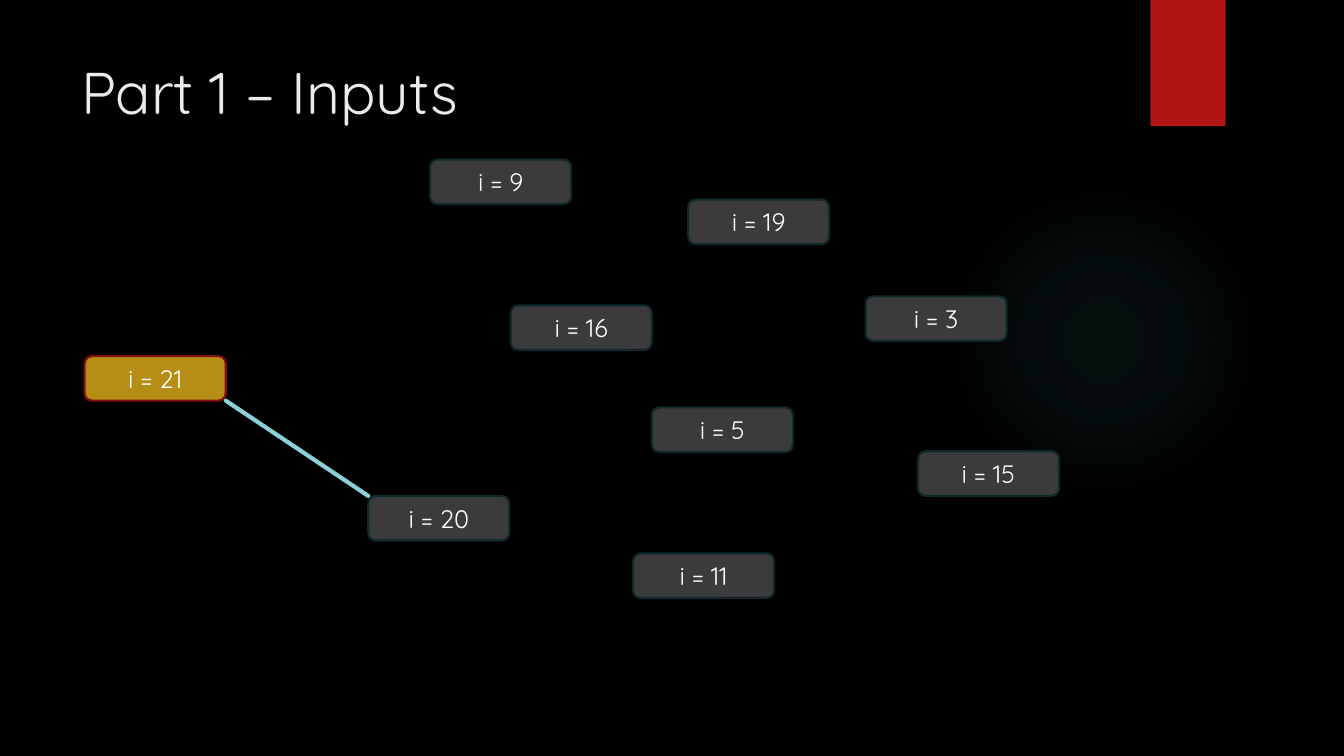
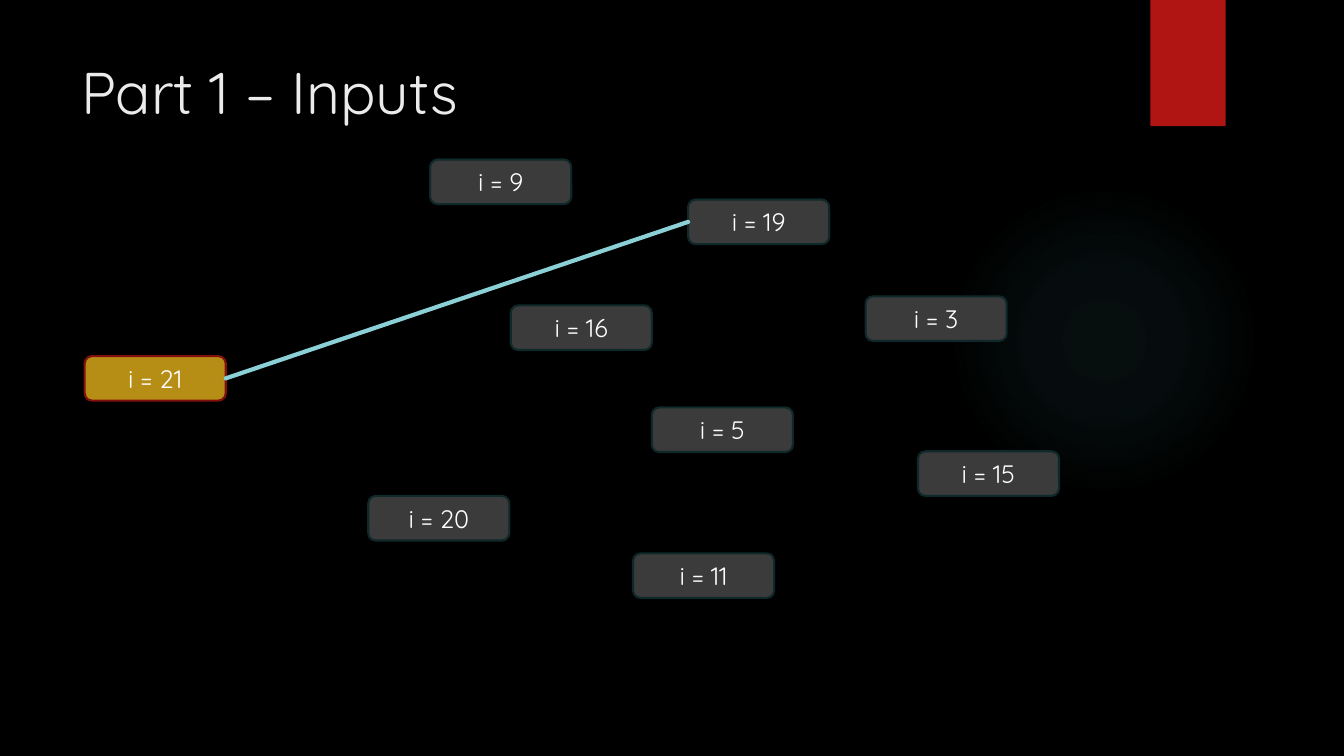
from dataclasses import dataclass

from lxml.etree import SubElement
from pptx import Presentation
from pptx.dml.color import RGBColor
from pptx.enum.shapes import MSO_CONNECTOR as Connector, MSO_SHAPE as Preset
from pptx.enum.text import MSO_ANCHOR as Anchor, PP_ALIGN as Align
from pptx.oxml.ns import qn
from pptx.util import Inches, Pt


@dataclass(frozen=True)
class Theme:
    font: str = "Quicksand"
    background: str = "000000"
    glow: str = "50B9C1"
    glow_stops: tuple = ((0, 7), (36, 6), (69, 0))
    ribbon: str = "B01513"
    title: str = "EBEBEB"
    text: str = "FFFFFF"
    node: str = "3B3B3B"
    node_line: str = "0F282A"
    start: str = "B68E15"
    start_line: str = "82100E"
    link: str = "8AD0D6"
    title_size: int = 42
    node_size: int = 18
    outline: float = 1.5
    link_width: int = 3


@dataclass(frozen=True)
class Box:
    left: int
    top: int
    width: int
    height: int

    def inner(self, left, top, width, height):
        """Return a box inside this one, given in percent of its size."""
        return Box(
            self.left + round(self.width * left / 100),
            self.top + round(self.height * top / 100),
            round(self.width * width / 100),
            round(self.height * height / 100),
        )

    @property
    def bounds(self):
        return self.left, self.top, self.width, self.height


THEME = Theme()
TITLE = "Part 1 – Inputs"
START = 21
TOP, LEFT, BOTTOM, RIGHT = range(4)
NODE_SIZE = (10.5, 5.9)
NODES = {
    21: (6.3, 47.1),
    20: (27.4, 65.6),
    9: (32, 21.1),
    16: (38, 40.4),
    19: (51.2, 26.4),
    5: (48.5, 53.9),
    3: (64.4, 39.2),
    11: (47.1, 73.2),
    15: (68.3, 59.7),
}


def rgb(color):
    return RGBColor.from_string(color)


def add_element(parent, tag, **attributes):
    values = {name: str(value) for name, value in attributes.items()}
    return SubElement(parent, qn(tag), values)


def add_color(parent, color, opacity):
    element = add_element(parent, "a:srgbClr", val=color)
    add_element(element, "a:alpha", val=opacity * 1000)


def add_preset(slide, preset, box, fill=None, line=None):
    shape = slide.shapes.add_shape(preset, *box.bounds)
    shape.shadow.inherit = False
    if fill:
        shape.fill.solid()
        shape.fill.fore_color.rgb = rgb(fill)
    else:
        shape.fill.background()
    if line:
        shape.line.color.rgb = rgb(line)
        shape.line.width = Pt(THEME.outline)
    else:
        shape.line.fill.background()
    return shape


def write(shape, text, *, size, color, align=Align.LEFT, anchor=Anchor.TOP):
    frame = shape.text_frame
    frame.word_wrap = True
    frame.vertical_anchor = anchor
    paragraph = frame.paragraphs[0]
    paragraph.alignment = align
    run = paragraph.add_run()
    run.text = text
    run.font.name = THEME.font
    run.font.size = Pt(size)
    run.font.color.rgb = rgb(color)


def add_glow(slide, box):
    """Add a circle whose colour fades out from its centre."""
    properties = add_preset(slide, Preset.OVAL, box).element.spPr
    gradient = add_element(properties, "a:gradFill", rotWithShape=1)
    stops = add_element(gradient, "a:gsLst")
    for position, opacity in THEME.glow_stops:
        stop = add_element(stops, "a:gs", pos=position * 1000)
        add_color(stop, THEME.glow, opacity)
    circle = add_element(gradient, "a:path", path="circle")
    add_element(circle, "a:fillToRect", l=50000, t=50000, r=50000, b=50000)
    properties.replace(properties.find(qn("a:noFill")), gradient)


def add_ribbon(slide, box):
    shape = add_preset(slide, Preset.RECTANGLE, box, THEME.ribbon)
    effects = shape.element.spPr.find(qn("a:effectLst"))
    shadow = add_element(effects, "a:outerShdw", blurRad=int(Pt(3)),
                         dist=int(Pt(2)), dir=90 * 60000, rotWithShape=0)
    add_color(shadow, "000000", 45)


def add_title(slide, box, text):
    write(slide.shapes.add_textbox(*box.bounds), text,
          size=THEME.title_size, color=THEME.title)


def add_nodes(slide, box):
    """Add all input nodes and return them by their number."""
    nodes = {}
    for number, position in NODES.items():
        colors = ((THEME.start, THEME.start_line) if number == START
                  else (THEME.node, THEME.node_line))
        node = add_preset(slide, Preset.ROUNDED_RECTANGLE,
                          box.inner(*position, *NODE_SIZE), *colors)
        write(node, f"i = {number}", size=THEME.node_size, color=THEME.text,
              align=Align.CENTER, anchor=Anchor.MIDDLE)
        nodes[number] = node
    return nodes


def add_link(slide, source, target, corners):
    """Link facing corners, or else the facing sides, of two nodes."""
    link = slide.shapes.add_connector(
        Connector.STRAIGHT, source.left + source.width,
        source.top + source.height, target.left, target.top)
    if not corners:
        link.begin_connect(source, RIGHT)
        link.end_connect(target, LEFT)
    link.line.color.rgb = rgb(THEME.link)
    link.line.width = Pt(THEME.link_width)
    properties = link.element.spPr
    properties.find(qn("a:ln")).set("cap", "rnd")
    add_element(properties, "a:effectLst")


def add_inputs_slide(presentation, page, target, corners=False):
    slide = presentation.slides.add_slide(presentation.slide_layouts[6])
    add_glow(slide, page.inner(70.6, 24.4, 23.1, 41.1))
    add_ribbon(slide, page.inner(85.6, 0, 5.6, 16.7))
    add_title(slide, page.inner(5.3, 6.7, 77.2, 20.4), TITLE)
    nodes = add_nodes(slide, page)
    add_link(slide, nodes[START], nodes[target], corners)


def main():
    presentation = Presentation()
    presentation.slide_width = Inches(13.33)
    presentation.slide_height = Inches(7.5)
    background = presentation.slide_master.background.fill
    background.solid()
    background.fore_color.rgb = rgb(THEME.background)
    page = Box(0, 0, presentation.slide_width, presentation.slide_height)
    add_inputs_slide(presentation, page, target=20, corners=True)
    add_inputs_slide(presentation, page, target=19)
    presentation.save("out.pptx")


if __name__ == "__main__":
    main()
